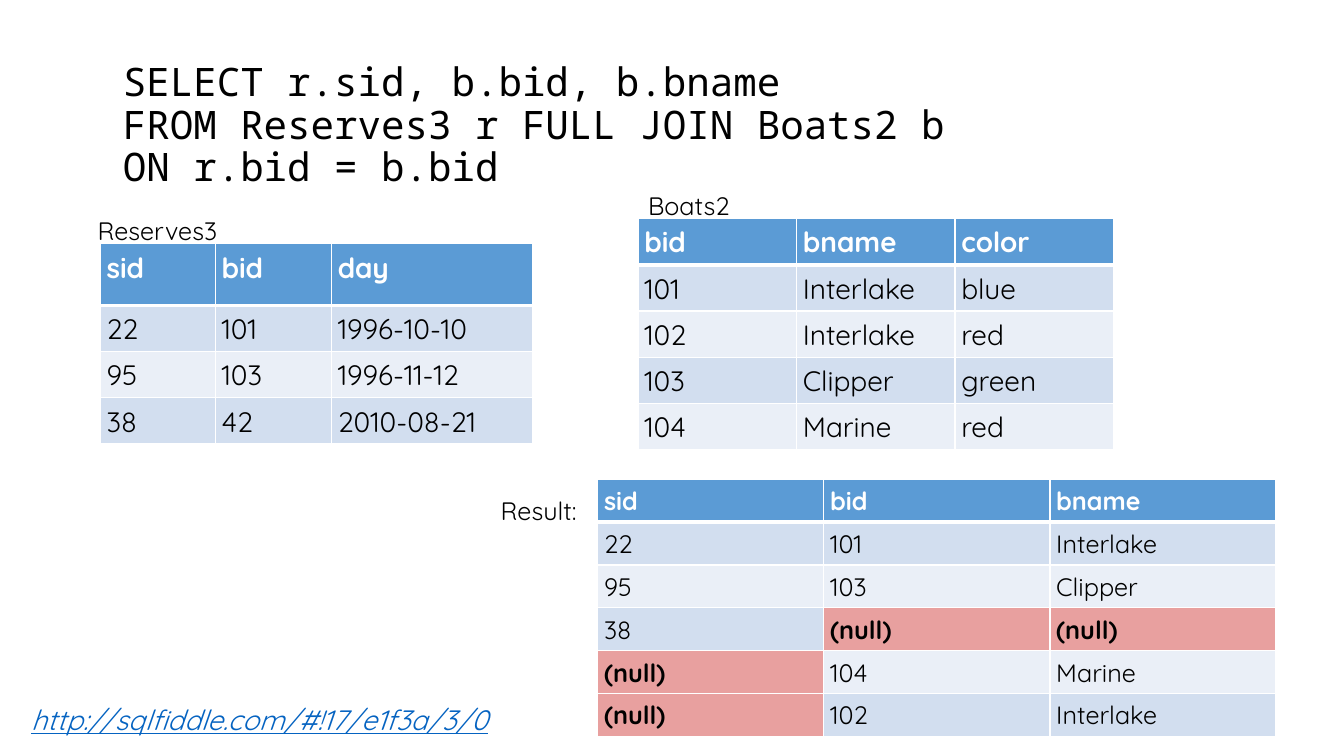
from copy import deepcopy
from dataclasses import dataclass

from lxml import etree
from pptx import Presentation
from pptx import util as u
from pptx.dml.color import RGBColor
from pptx.enum import text
from pptx.oxml import ns


@dataclass(frozen=True)
class Theme:
    code_font: str = "Noto Sans Mono"
    text_font: str = "Quicksand"
    ink: str = "000000"
    paper: str = "FFFFFF"
    header: str = "5B9BD5"
    bands: tuple = ("D2DEEF", "EAEFF7")
    null: str = "E8A09F"
    link: str = "0563C1"
    title_size: int = 28
    large_size: int = 20
    small_size: int = 18
    cell_margin: float = 4.5
    thin: int = 1
    thick: int = 3


class SlideBuilder:
    def __init__(self, presentation, theme):
        self.theme = theme
        self.slide = presentation.slides.add_slide(presentation.slide_layouts[5])

    def format_runs(self, paragraph, size, color, name=None, bold=False):
        for run in paragraph.runs:
            run.font.name = name or self.theme.text_font
            run.font.size = u.Pt(size)
            run.font.bold = bold
            run.font.color.rgb = RGBColor.from_string(color)

    def title(self, lines, left, top, width, height):
        shape = self.slide.shapes.title
        shape.left, shape.top = u.Pt(left), u.Pt(top)
        shape.width, shape.height = u.Pt(width), u.Pt(height)
        frame = shape.text_frame
        frame.auto_size = text.MSO_AUTO_SIZE.NONE
        frame.vertical_anchor = text.MSO_ANCHOR.MIDDLE
        paragraph = frame.paragraphs[0]
        paragraph.text = "\n".join(lines)
        paragraph.alignment = text.PP_ALIGN.LEFT
        paragraph.line_spacing = 0.9
        self.format_runs(paragraph, self.theme.title_size, self.theme.ink, self.theme.code_font)
        properties = paragraph.runs[0].font._element
        for line_break in paragraph._p.findall(ns.qn("a:br")):
            line_break.append(deepcopy(properties))

    def label(self, caption, left, top, width, height, size, color, wrap=False):
        shape = self.slide.shapes.add_textbox(u.Pt(left), u.Pt(top), u.Pt(width), u.Pt(height))
        frame = shape.text_frame
        frame.word_wrap = wrap
        frame.auto_size = text.MSO_AUTO_SIZE.SHAPE_TO_FIT_TEXT
        frame.text = caption
        self.format_runs(frame.paragraphs[0], size, color)
        return frame.paragraphs[0]

    def link_text(self, address, left, top, width, height):
        paragraph = self.label(address, left, top, width, height,
                               self.theme.large_size, self.theme.link, wrap=True)
        font = paragraph.runs[0].font
        font.italic = font.underline = True

    def cell_borders(self, cell, row):
        theme = self.theme
        widths = {"lnL": theme.thin, "lnR": theme.thin,
                  "lnT": theme.thick if row == 1 else theme.thin,
                  "lnB": theme.thick if row == 0 else theme.thin}
        properties = cell._tc.get_or_add_tcPr()
        for side, width in widths.items():
            line = etree.SubElement(properties, ns.qn(f"a:{side}"), w=str(u.Pt(width)))
            fill = etree.SubElement(line, ns.qn("a:solidFill"))
            etree.SubElement(fill, ns.qn("a:srgbClr"), val=theme.paper)

    def table(self, rows, left, top, column_widths, row_heights, size):
        theme = self.theme
        frame = self.slide.shapes.add_table(
            len(rows), len(column_widths), u.Pt(left), u.Pt(top),
            u.Pt(sum(column_widths)), u.Pt(sum(row_heights)))
        table = frame.table
        table.horz_banding = False
        for column, width in zip(table.columns, column_widths):
            column.width = u.Pt(width)
        for row, height in zip(table.rows, row_heights):
            row.height = u.Pt(height)
        for row, values in enumerate(rows):
            for column, value in enumerate(values):
                cell = table.cell(row, column)
                cell.margin_left = cell.margin_right = u.Pt(theme.cell_margin)
                cell.margin_top = cell.margin_bottom = u.Pt(theme.cell_margin)
                is_header, is_null = row == 0, value == "(null)"
                self.cell_borders(cell, row)
                fill = theme.header if is_header else theme.bands[(row - 1) % 2]
                cell.fill.solid()
                cell.fill.fore_color.rgb = RGBColor.from_string(theme.null if is_null else fill)
                cell.text_frame.text = value
                self.format_runs(cell.text_frame.paragraphs[0], size,
                                 theme.paper if is_header else theme.ink,
                                 bold=is_header or is_null)


QUERY = ["SELECT r.sid, b.bid, b.bname",
         "FROM Reserves3 r FULL JOIN Boats2 b",
         "ON r.bid = b.bid"]
BOATS = [("bid", "bname", "color"),
         ("101", "Interlake", "blue"),
         ("102", "Interlake", "red"),
         ("103", "Clipper", "green"),
         ("104", "Marine", "red")]
RESERVES = [("sid", "bid", "day"),
            ("22", "101", "1996-10-10"),
            ("95", "103", "1996-11-12"),
            ("38", "42", "2010-08-21")]
RESULT = [("sid", "bid", "bname"),
          ("22", "101", "Interlake"),
          ("95", "103", "Clipper"),
          ("38", "(null)", "(null)"),
          ("(null)", "104", "Marine"),
          ("(null)", "102", "Interlake")]


def main():
    presentation = Presentation()
    presentation.slide_width, presentation.slide_height = u.Pt(960), u.Pt(540)
    theme = Theme()
    builder = SlideBuilder(presentation, theme)
    builder.title(QUERY, 80.6, 45.4, 751, 90)
    builder.link_text("http://sqlfiddle.com/#!17/e1f3a/3/0", 15.1, 498.2, 391.7, 31.7)
    builder.table(BOATS, 455.8, 156.2, [113.2] * 3, [32] * 5, theme.large_size)
    builder.table(RESERVES, 71.6, 174.2, [82.2, 83, 144], [44, 32, 32, 32], theme.large_size)
    builder.table(RESULT, 427, 342.4, [161.5] * 3, [29.6] * 6, theme.small_size)
    for caption, left, top, width in [("Boats2", 455.8, 132.5, 72.7),
                                      ("Reserves3", 62.6, 150.5, 100.8),
                                      ("Result:", 350.6, 350.6, 70.6)]:
        builder.label(caption, left, top, width, 28.8, theme.small_size, theme.ink)
    presentation.save("out.pptx")


if __name__ == "__main__":
    main()
